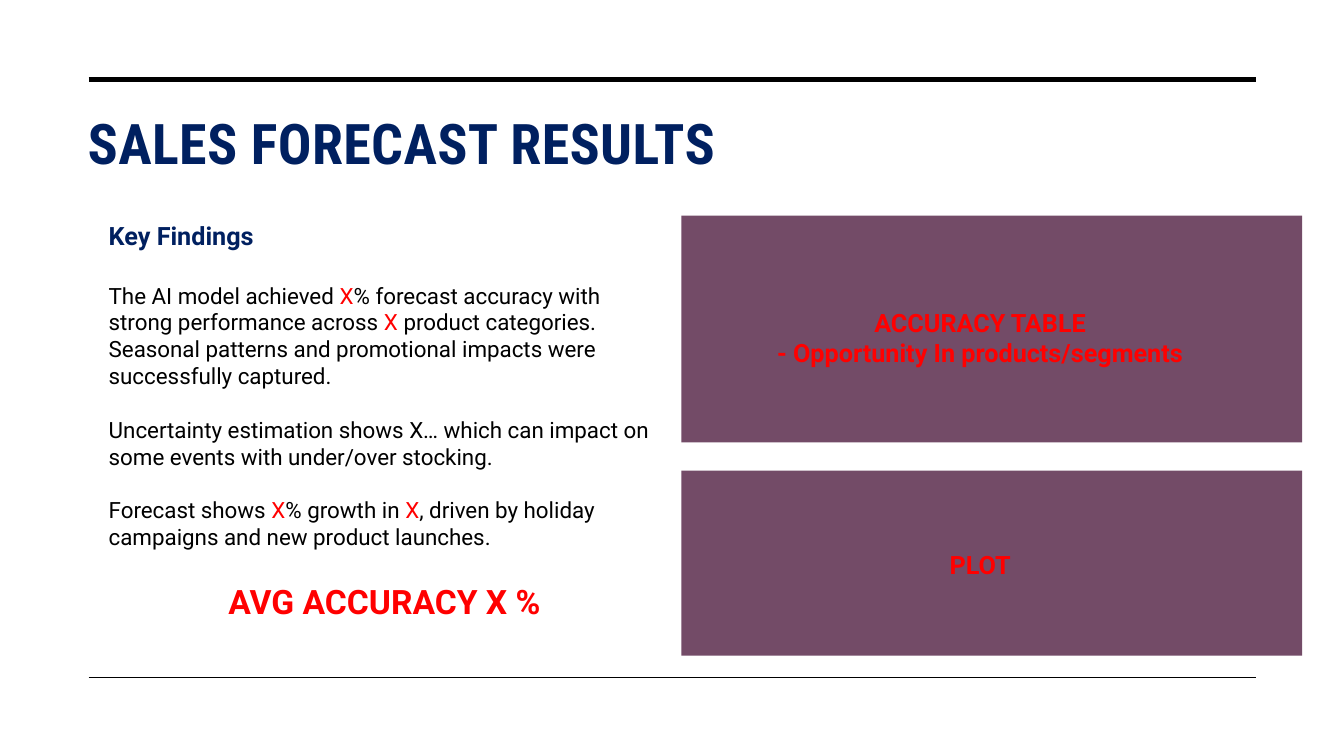
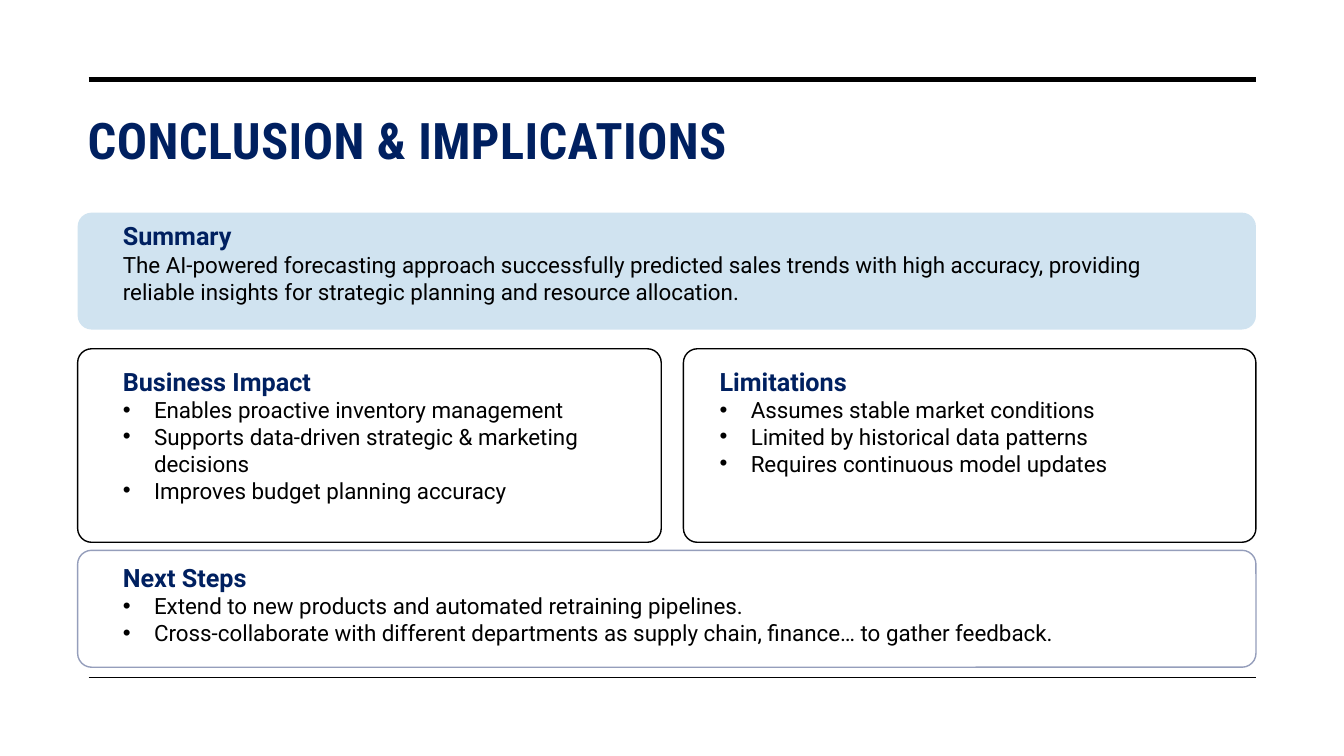
from dataclasses import dataclass
from typing import Optional

from lxml import etree
from pptx import Presentation
from pptx import util as u
from pptx.dml.color import RGBColor
from pptx.enum import shapes, text
from pptx.oxml.ns import qn

# The slide is a grid of 160 columns by 90 rows of square cells.
COLS, ROWS = 160, 90
CELL = u.Inches(7.5) / ROWS

NAVY = RGBColor(0x00, 0x20, 0x60)
BLACK = RGBColor(0x00, 0x00, 0x00)
WHITE = RGBColor(0xFF, 0xFF, 0xFF)
RED = RGBColor(0xFF, 0x00, 0x00)
PLUM = RGBColor(0x73, 0x4B, 0x67)
SKY = RGBColor(0xD0, 0xE3, 0xF0)
LAVENDER = RGBColor(0x95, 0x9E, 0xBB)

BODY_FONT, TITLE_FONT = "Roboto", "Roboto Condensed"
CORNER = 1.66
INDENT = u.Inches(0.31)
CENTER = text.PP_ALIGN.CENTER


@dataclass(frozen=True)
class Box:
    left: float
    top: float
    width: float
    height: float

    def emu(self) -> tuple[int, ...]:
        return tuple(cells(n) for n in (self.left, self.top, self.width, self.height))


@dataclass(frozen=True)
class Para:
    """A paragraph; words between bars are red."""
    words: str
    size: int = 16
    color: RGBColor = BLACK
    bold: bool = False
    before: int = 0
    bullet: bool = False
    align: text.PP_ALIGN = text.PP_ALIGN.LEFT


@dataclass(frozen=True)
class Panel:
    box: Box
    fill: RGBColor
    line: Optional[RGBColor] = None
    rounded: bool = True


@dataclass(frozen=True)
class TextBlock:
    box: Box
    paras: list[Para]


TITLE_BOX = Box(9.24, 12, 140.28, 17.16)
RULES = ((9.48, 3.5), (80.64, 1))  # row, weight in points
RULE_LEFT, RULE_RIGHT = 10.56, 149.52


def cells(n: float) -> int:
    return round(n * CELL)


def heading(words: str) -> Para:
    return Para(words, 18, NAVY, True)


def label(words: str, size: int = 18, before: int = 0) -> Para:
    return Para(words, size, RED, True, before, align=CENTER)


def bullets(*items: str) -> list[Para]:
    return [Para(item, bullet=True) for item in items]


def style_run(r, font: str, size: int, color: RGBColor, bold: bool) -> None:
    r.font.name, r.font.size, r.font.bold = font, u.Pt(size), bold
    r.font.color.rgb = color


def add_bullet(p) -> None:
    pPr = p._p.get_or_add_pPr()
    pPr.set("marL", str(INDENT))
    pPr.set("indent", str(-INDENT))
    etree.SubElement(pPr, qn("a:buFont")).set("typeface", "Arial")
    etree.SubElement(pPr, qn("a:buChar")).set("char", "•")


def add_text(s, block: TextBlock) -> None:
    tf = s.shapes.add_textbox(*block.box.emu()).text_frame
    tf.word_wrap = True
    tf.auto_size = text.MSO_AUTO_SIZE.SHAPE_TO_FIT_TEXT
    for i, para in enumerate(block.paras):
        p = tf.add_paragraph() if i else tf.paragraphs[0]
        p.alignment = para.align
        p.space_before = u.Pt(para.before)
        if para.bullet:
            add_bullet(p)
        for j, part in enumerate(para.words.split("|")):
            r = p.add_run()
            r.text = part
            style_run(r, BODY_FONT, para.size, RED if j % 2 else para.color, para.bold)


def add_panel(s, panel: Panel) -> None:
    kind = shapes.MSO_SHAPE.ROUNDED_RECTANGLE if panel.rounded else shapes.MSO_SHAPE.RECTANGLE
    sp = s.shapes.add_shape(kind, *panel.box.emu())
    sp.shadow.inherit = False
    if panel.rounded:
        sp.adjustments[0] = CORNER / panel.box.height
    sp.fill.solid()
    sp.fill.fore_color.rgb = panel.fill
    if panel.line is None:
        sp.line.fill.background()
    else:
        sp.line.color.rgb = panel.line
        sp.line.width = u.Pt(1)


def add_rules(s) -> None:
    for row, weight in RULES:
        c = s.shapes.add_connector(
            shapes.MSO_CONNECTOR.STRAIGHT,
            cells(RULE_LEFT), cells(row), cells(RULE_RIGHT), cells(row))
        c.line.color.rgb = BLACK
        c.line.width = u.Pt(weight)
        etree.SubElement(c._element.spPr, qn("a:effectLst"))


def set_title(s, words: str, size: int) -> None:
    sp = s.shapes.title
    sp.left, sp.top, sp.width, sp.height = TITLE_BOX.emu()
    tf = sp.text_frame
    tf.text = words
    tf.word_wrap = True
    tf.auto_size = text.MSO_AUTO_SIZE.NONE
    tf.vertical_anchor = text.MSO_ANCHOR.TOP
    tf.margin_top = u.Inches(0.08)
    p = tf.paragraphs[0]
    p.alignment = text.PP_ALIGN.LEFT
    r = p.runs[0]
    style_run(r, TITLE_FONT, size, NAVY, True)
    r.font._element.set("spc", "30")


def add_slide(prs, title: str, size: int, panels: list[Panel], blocks: list[TextBlock]) -> None:
    s = prs.slides.add_slide(prs.slide_layouts[5])
    add_rules(s)
    for panel in panels:
        add_panel(s, panel)
    set_title(s, title, size)
    for block in blocks:
        add_text(s, block)


def add_results(prs) -> None:
    panels = [
        Panel(Box(81.12, top, 73.92, height), PLUM, rounded=False)
        for top, height in ((25.68, 27), (56.04, 22))
    ]
    findings = [
        heading("Key Findings"),
        Para("The AI model achieved |X|% forecast accuracy with strong performance across "
             "|X| product categories. Seasonal patterns and promotional impacts were "
             "successfully captured.", before=22),
        Para("Uncertainty estimation shows X… which can impact on some events with "
             "under/over stocking.", before=19),
        Para("Forecast shows |X|% growth in |X|, driven by holiday campaigns and new "
             "product launches.", before=19),
        label("AVG ACCURACY X %", 24, before=22),
    ]
    blocks = [
        TextBlock(Box(11.76, 25.68, 68, 50.52), findings),
        TextBlock(Box(82.68, 36, 68, 8.52),
                  [label("ACCURACY TABLE"), label("- Opportunity In products/segments")]),
        TextBlock(Box(82.68, 64.8, 68, 4.8), [label("PLOT")]),
    ]
    add_slide(prs, "SALES FORECAST RESULTS", 40, panels, blocks)


def add_conclusion(prs) -> None:
    left, full, wide = 9.24, 140.28, 13.92
    text_left, text_width = 13.44, 132.24
    panels = [
        Panel(Box(left, 65.52, full, wide), WHITE, LAVENDER),
        Panel(Box(left, 41.52, 69.48, 23.04), WHITE, BLACK),
        Panel(Box(81.36, 41.52, 68.16, 23.04), WHITE, BLACK),
        Panel(Box(left, 25.32, full, wide), SKY),
    ]
    blocks = [
        TextBlock(Box(text_left, 25.68, text_width, 11.28), [
            heading("Summary"),
            Para("The AI-powered forecasting approach successfully predicted sales trends "
                 "with high accuracy, providing reliable insights for strategic planning "
                 "and resource allocation.")]),
        TextBlock(Box(text_left, 42.96, 62.04, 18.12), [
            heading("Business Impact"),
            *bullets("Enables proactive inventory management",
                     "Supports data-driven strategic & marketing decisions",
                     "Improves budget planning accuracy")]),
        TextBlock(Box(84.48, 42.96, 62.04, 18.12), [
            heading("Limitations"),
            *bullets("Assumes stable market conditions",
                     "Limited by historical data patterns",
                     "Requires continuous model updates")]),
        TextBlock(Box(text_left, 66.36, text_width, 11.28), [
            heading("Next Steps"),
            *bullets("Extend to new products and automated retraining pipelines.",
                     "Cross-collaborate with different departments as supply chain, "
                     "finance… to gather feedback.")]),
    ]
    add_slide(prs, "CONCLUSION & IMPLICATIONS", 36, panels, blocks)


def main() -> None:
    prs = Presentation()
    prs.slide_width, prs.slide_height = cells(COLS), cells(ROWS)
    add_results(prs)
    add_conclusion(prs)
    prs.save("out.pptx")


if __name__ == "__main__":
    main()
